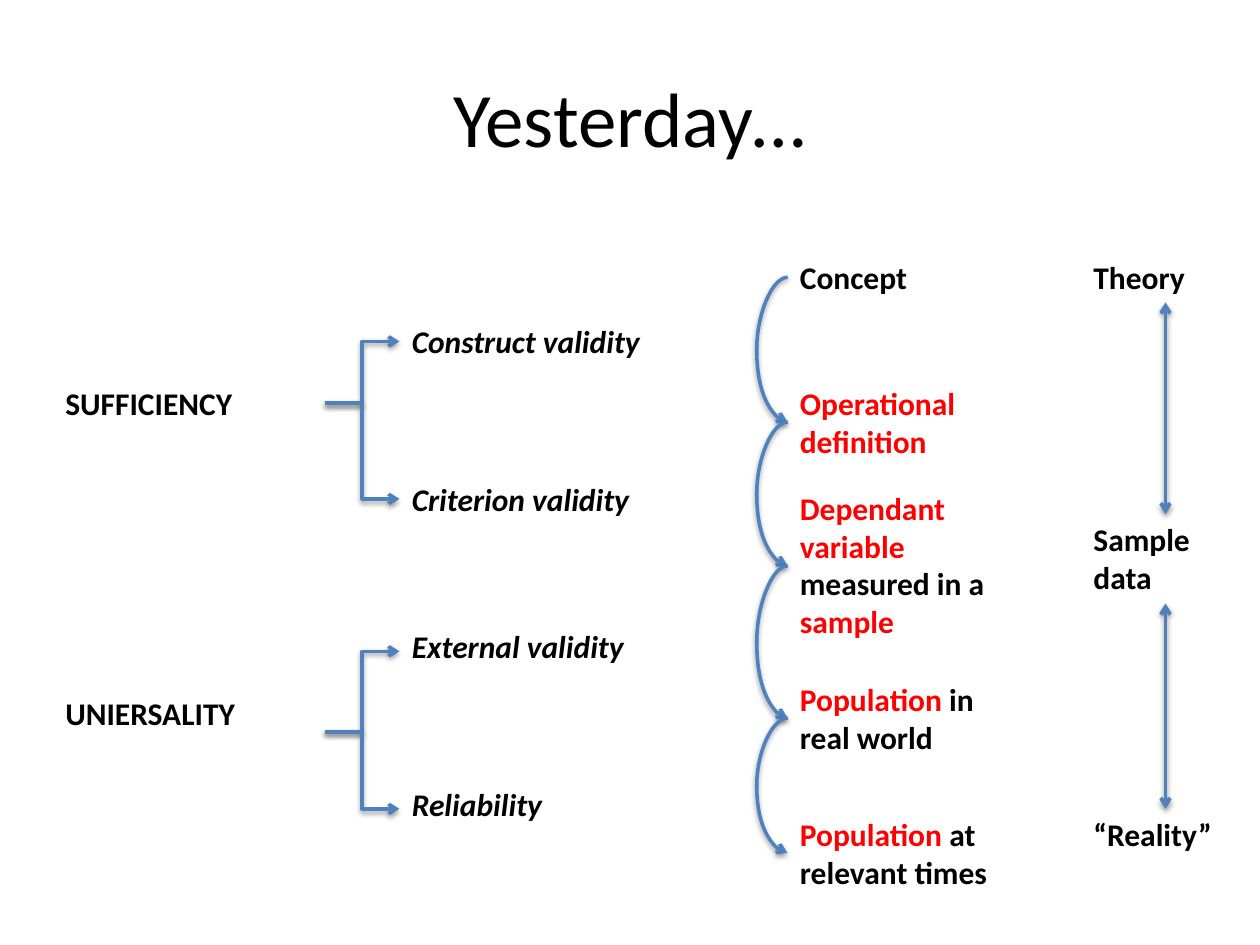
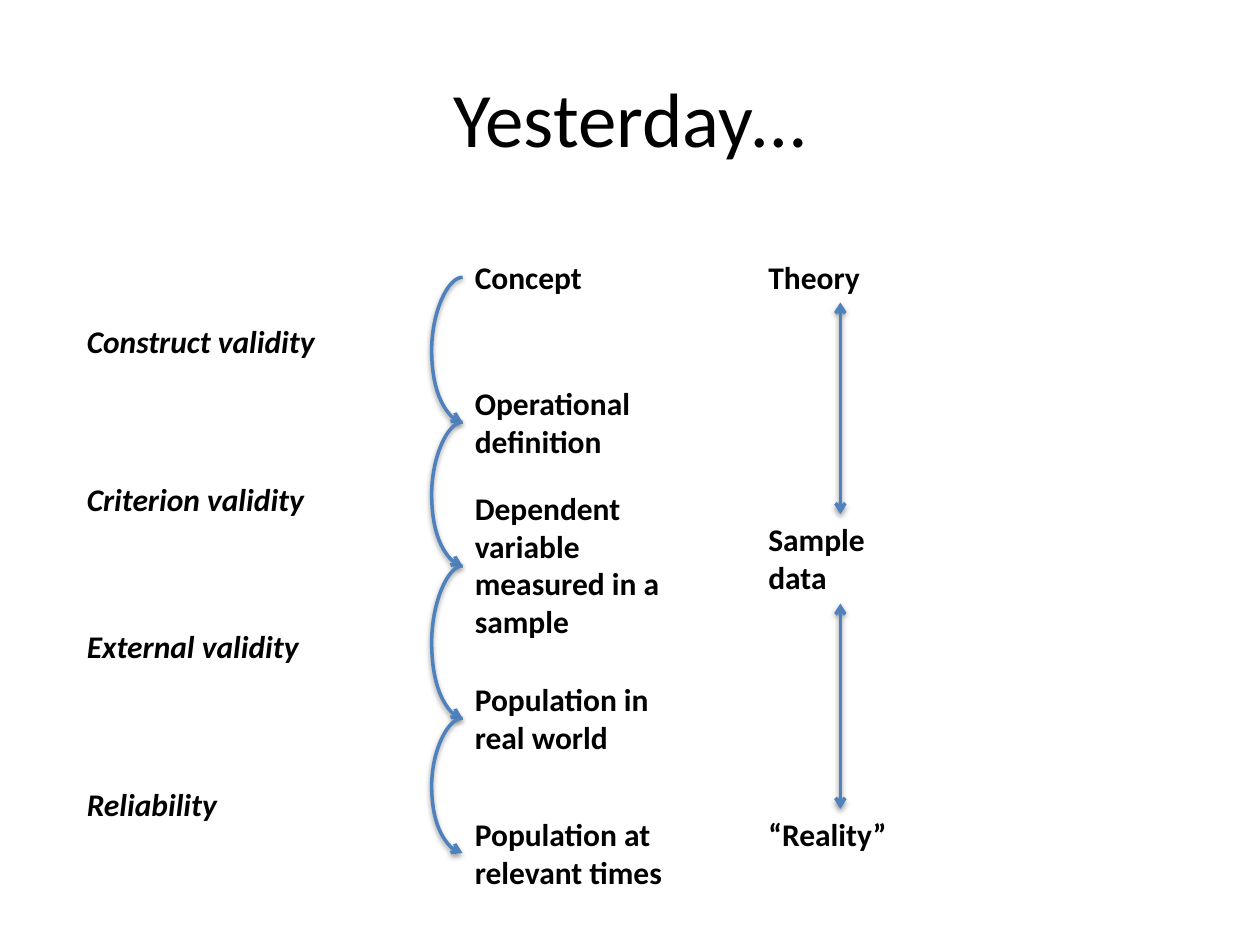
from itertools import pairwise

from lxml.etree import SubElement
from pptx import Presentation
from pptx.dml.color import RGBColor
from pptx.enum.shapes import MSO_CONNECTOR as CONN
from pptx.enum.text import MSO_ANCHOR as ANCHOR, PP_ALIGN as ALIGN
from pptx.oxml.ns import qn
from pptx.util import Inches, Pt

FONT = "Calibri"
BLACK, RED, BLUE = "000000", "FF0000", "4F81BD"
rgb = RGBColor.from_string


def add_text(s, box, paragraphs, size=18, bold=True, italic=False):
    """Each paragraph is a list of (text, colour) runs."""
    sp = s.shapes.add_textbox(*map(Inches, box))
    tf = sp.text_frame
    tf.word_wrap = True
    for i, runs in enumerate(paragraphs):
        p = tf.paragraphs[0] if i == 0 else tf.add_paragraph()
        for text, colour in runs:
            r = p.add_run()
            r.text = text
            r.font.name, r.font.size = FONT, Pt(size)
            r.font.bold, r.font.italic = bold, italic
            r.font.color.rgb = rgb(colour)
    return tf


def add_arrow(s, kind, x1, y1, x2, y2, ends=("tailEnd",)):
    sp = s.shapes.add_connector(kind, *map(Inches, (x1, y1, x2, y2)))
    sp.line.color.rgb = rgb(BLUE)
    sp.line.width = Pt(2)
    sppr = sp._element.spPr
    for end in ends:
        SubElement(sppr.find(qn("a:ln")), qn(f"a:{end}"), type="arrow")
    # Soft shadow just below the line
    effects = SubElement(sppr, qn("a:effectLst"))
    shadow = SubElement(effects, qn("a:outerShdw"), blurRad=str(Pt(3.1)),
                        dist=str(Pt(1.6)), dir="5400000", rotWithShape="0")
    colour = SubElement(shadow, qn("a:srgbClr"), val=BLACK)
    SubElement(colour, qn("a:alpha"), val="38000")
    return sppr


# Research steps: top, width, height of each label
step_boxes = [(2, 1.33, 0.4), (3, 1.67, 0.71), (3.83, 2, 1.31),
              (5.35, 2, 0.71), (6.42, 2.25, 0.71)]
step_joints = [2.2, 3.35, 4.49, 5.7, 6.77]
validities = [("Construct validity", 2.51), ("Criterion validity", 3.76),
              ("External validity", 4.93), ("Reliability", 6.18)]
levels = [(["Theory"], 2, 0.4), (["Sample", "data"], 4.08, 0.71),
          (["“Reality”"], 6.42, 0.4)]

# Per slide: shift of the whole diagram and the wording of its steps
highlighted_steps = [
    [("Concept", BLACK)],
    [("Operational definition", RED)],
    [("Dependant variable ", RED), ("measured in a ", BLACK), ("sample", RED)],
    [("Population", RED), (" in real world", BLACK)],
    [("Population", RED), (" at relevant times", BLACK)],
]
plain_steps = [[(text, BLACK)] for text in (
    "Concept", "Operational definition",
    "Dependent variable measured in a sample",
    "Population in real world", "Population at relevant times")]

prs = Presentation()
prs.slide_width, prs.slide_height = Inches(10), Inches(7.5)

for shift, steps in [(0, highlighted_steps), (-2.58, plain_steps)]:
    s = prs.slides.add_slide(prs.slide_layouts[6])
    step_x, validity_x, level_x = 6.25 + shift, 3.17 + shift, 8.58 + shift

    # Title
    tf = add_text(s, (0.5, 0.3, 9, 1.25), [[("Yesterday…", BLACK)]], 44, False)
    tf.vertical_anchor = ANCHOR.MIDDLE
    tf.paragraphs[0].alignment = ALIGN.CENTER

    # Research steps
    for runs, (top, width, height) in zip(steps, step_boxes):
        add_text(s, (step_x, top, width, height), [runs])

    # Arcs bulging left: a very narrow connector turned by half a circle
    sliver, bulge = 0.002, 0.25
    for top, bottom in pairwise(step_joints):
        sppr = add_arrow(s, CONN.CURVE, step_x, bottom, step_x + sliver, top)
        sppr.find(qn("a:xfrm")).set("rot", "10800000")
        guides = sppr.find(qn("a:prstGeom")).find(qn("a:avLst"))
        SubElement(guides, qn("a:gd"), name="adj1",
                   fmla=f"val {round(bulge / sliver * 100000)}")

    # Kinds of validity
    for text, top in validities:
        add_text(s, (validity_x, top, 2.58, 0.4), [[(text, BLACK)]], italic=True)

    # Theory to reality, joined by two-way arrows
    for lines, top, height in levels:
        add_text(s, (level_x, top, 1.33, height),
                 [[(line, BLACK)] for line in lines])
    for (_, top, height), (_, next_top, _) in pairwise(levels):
        add_arrow(s, CONN.STRAIGHT, level_x + 0.67, top + height,
                  level_x + 0.67, next_top, ("headEnd", "tailEnd"))

# Criteria that branch into the kinds of validity, first slide only
s = prs.slides[0]
for text, top, fork_y, branch_ys in [("SUFFICIENCY", 3, 3.2, (2.71, 3.96)),
                                     ("UNIERSALITY", 5.46, 5.81, (5.17, 6.42))]:
    add_text(s, (0.42, top, 2.17, 0.4), [[(text, BLACK)]])
    for branch_y in branch_ys:
        add_arrow(s, CONN.ELBOW, 2.58, fork_y, 3.17, branch_y)

prs.save("out.pptx")
